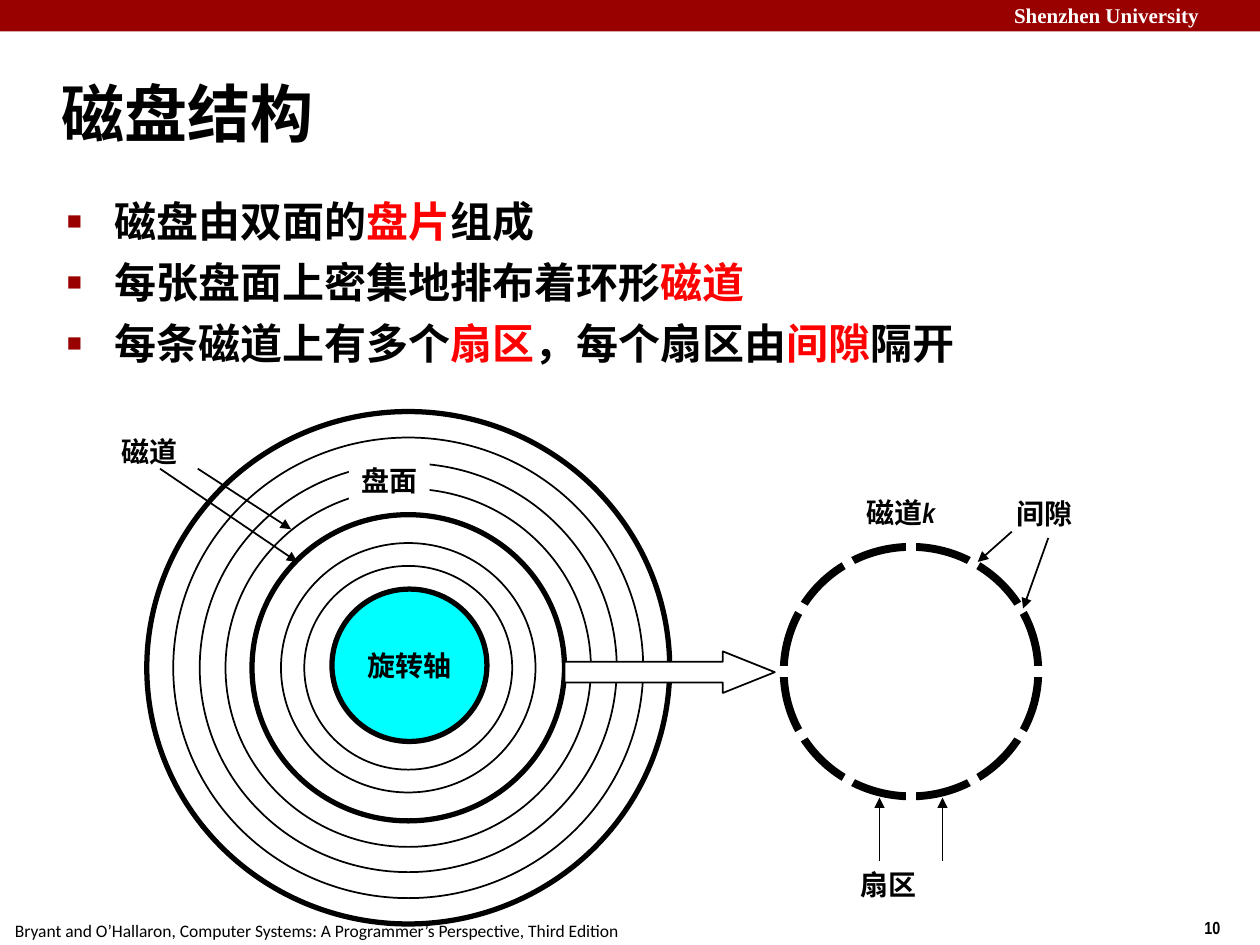
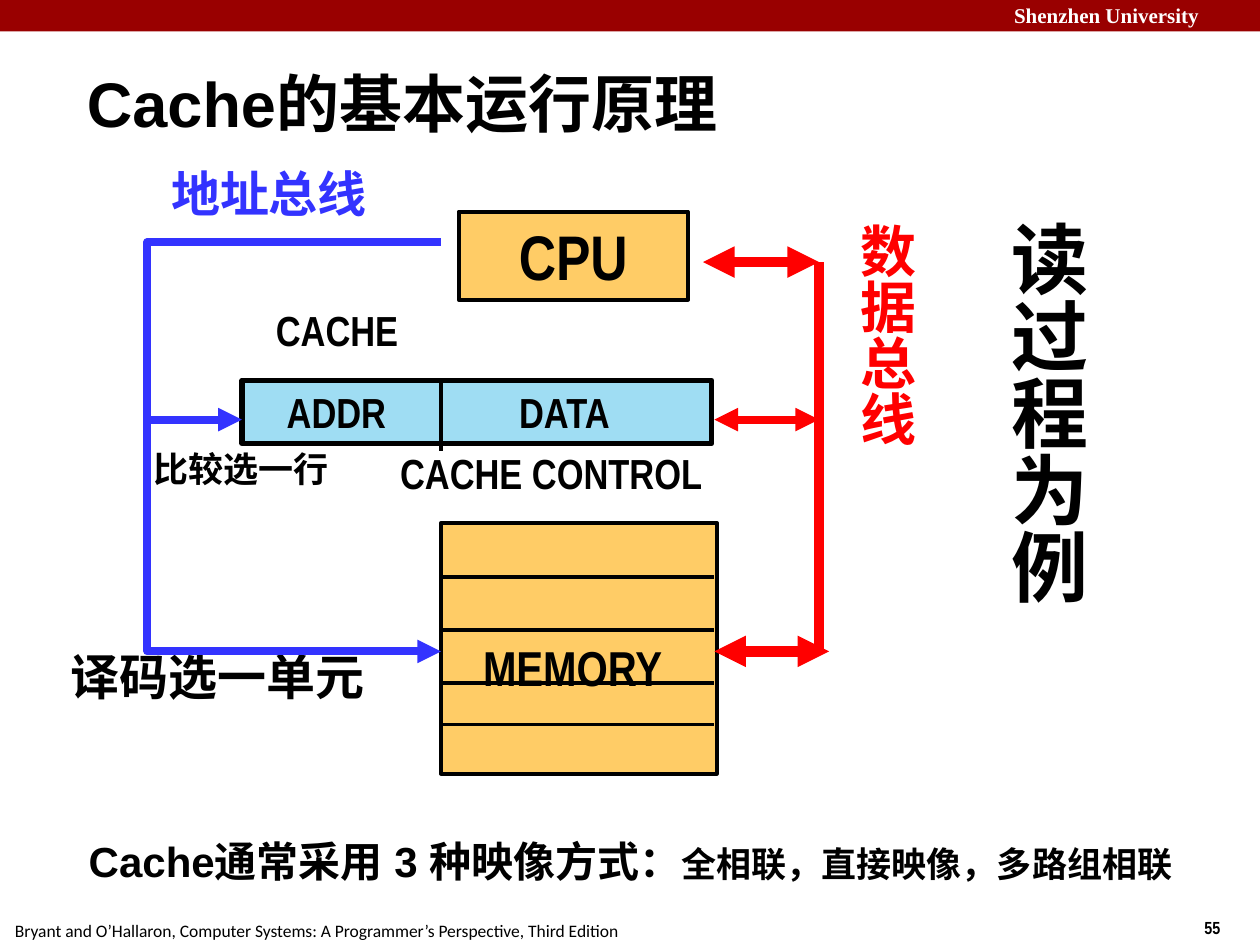
import math

from lxml import etree
from pptx import Presentation
from pptx import util as u
from pptx.dml.color import RGBColor
from pptx.enum import shapes, text
from pptx.oxml.ns import qn

BLACK = RGBColor(0x00, 0x00, 0x00)
WHITE = RGBColor(0xFF, 0xFF, 0xFF)
CRIMSON = RGBColor(0x99, 0x00, 0x00)
RED = RGBColor(0xFF, 0x00, 0x00)
BLUE = RGBColor(0x33, 0x33, 0xFF)
CYAN = RGBColor(0x00, 0xFF, 0xFF)
SKY = RGBColor(0x9F, 0xDD, 0xF3)
AMBER = RGBColor(0xFF, 0xCC, 0x66)

TITLE_AND_BODY, TITLE_ONLY = 1, 5
RECTANGLE = shapes.MSO_SHAPE.RECTANGLE
OVAL = shapes.MSO_SHAPE.OVAL
LEFT = text.PP_ALIGN.LEFT
CENTER = text.PP_ALIGN.CENTER


class Lecture:
    label_font = "Arial Narrow"
    source = "Bryant and O’Hallaron, Computer Systems: A Programmer’s Perspective, Third Edition"

    def __init__(self):
        self.deck = Presentation()
        self.deck.slide_width, self.deck.slide_height = u.Inches(10), u.Inches(7.5)
        self.slide = None

    def page(self, layout, number):
        self.slide = self.deck.slides.add_slide(self.deck.slide_layouts[layout])
        self.shape(RECTANGLE, 0, 0, 10, 0.25, fill=CRIMSON)
        self.label("Shenzhen University", 7.95, -0.03, 2.12, 0.3, size=12,
                   font="Times New Roman", color=WHITE, wrap=True)
        self.label(number, 9.46, 7.23, 0.75, 0.27, size=10)
        self.label(self.source, 0.02, 7.25, 5.01, 0.27, size=10, font="Calibri", bold=False)

    def style(self, span, size, font, color=BLACK, bold=True):
        span.font.size, span.font.name, span.font.bold = u.Pt(size), font, bold
        span.font.color.rgb = color
        east_asian = etree.Element(qn("a:ea"), typeface=font)
        span.font._element.find(qn("a:latin")).addnext(east_asian)

    def place(self, box, left, top, width, height):
        box.left, box.top = u.Inches(left), u.Inches(top)
        box.width, box.height = u.Inches(width), u.Inches(height)

    def title(self, words, left, top, width, height, font):
        box = self.slide.shapes.title
        self.place(box, left, top, width, height)
        box.text_frame.text = words
        box.text_frame.auto_size = text.MSO_AUTO_SIZE.NONE
        box.text_frame.vertical_anchor = text.MSO_ANCHOR.MIDDLE
        para = box.text_frame.paragraphs[0]
        para.alignment = LEFT
        self.style(para.runs[0], 36, font)

    def bullet(self, para):
        properties = para._p.get_or_add_pPr()
        properties.set("marL", str(u.Inches(0.38)))
        properties.set("indent", str(-u.Inches(0.38)))
        color = etree.SubElement(properties, qn("a:buClr"))
        etree.SubElement(color, qn("a:srgbClr"), val=str(CRIMSON))
        etree.SubElement(properties, qn("a:buSzPct"), val="60000")
        etree.SubElement(properties, qn("a:buFont"), typeface="Arial")
        etree.SubElement(properties, qn("a:buChar"), char="■")

    def bullets(self, lines, left, top, width, height):
        box = self.slide.placeholders[1]
        self.place(box, left, top, width, height)
        frame = box.text_frame
        frame.auto_size = text.MSO_AUTO_SIZE.NONE
        for index, line in enumerate(lines):
            para = frame.add_paragraph() if index else frame.paragraphs[0]
            self.bullet(para)
            para.space_before = u.Pt(6 if index else 0)
            for position, words in enumerate(line.split("|")):
                span = para.add_run()
                span.text = words
                self.style(span, 24, "Calibri", RED if position % 2 else BLACK)

    def caption(self, box, words, size, color=BLACK, font=label_font, bold=True,
                align=LEFT, wrap=False):
        frame = box.text_frame
        frame.text = words
        frame.word_wrap = wrap
        frame.vertical_anchor = text.MSO_ANCHOR.MIDDLE
        para = frame.paragraphs[0]
        para.alignment = align
        self.style(para.runs[0], size, font, color, bold)
        return para

    def label(self, words, left, top, width, height, size=16, **look):
        box = self.slide.shapes.add_textbox(*map(u.Inches, (left, top, width, height)))
        para = self.caption(box, words, size, **look)
        box.text_frame.auto_size = text.MSO_AUTO_SIZE.SHAPE_TO_FIT_TEXT
        return para

    def vertical_label(self, words, left, top, width, height, size, color=BLACK):
        box = self.slide.shapes.add_textbox(*map(u.Inches, (left, top, width, height)))
        self.caption(box, words, size, color, align=CENTER)
        frame = box.text_frame
        frame.margin_left = frame.margin_right = u.Inches(0.05)
        frame.margin_top = frame.margin_bottom = u.Inches(0.1)
        frame.auto_size = text.MSO_AUTO_SIZE.SHAPE_TO_FIT_TEXT
        box.element.find(qn("p:txBody")).find(qn("a:bodyPr")).set("vert", "eaVert")

    def outline(self, item, color, width):
        item.line.color.rgb = color
        item.line.width = u.Pt(width)

    def shape(self, kind, left, top, width, height, fill=None, line=0):
        item = self.slide.shapes.add_shape(kind, *map(u.Inches, (left, top, width, height)))
        item.shadow.inherit = False
        if fill is None:
            item.fill.background()
        else:
            item.fill.solid()
            item.fill.fore_color.rgb = fill
        if line:
            self.outline(item, BLACK, line)
        else:
            item.line.fill.background()
        return item

    def ring(self, center, width, height, line, fill=None):
        x, y = center
        return self.shape(OVAL, x - width / 2, y - height / 2, width, height, fill, line)

    def arrowheads(self, item, ends):
        outline = item.element.spPr.find(qn("a:ln"))
        for end in ends:
            etree.SubElement(outline, qn(f"a:{end}End"), type="triangle")

    def line(self, start, end, color=BLACK, width=1, ends=()):
        item = self.slide.shapes.add_connector(
            shapes.MSO_CONNECTOR.STRAIGHT, *map(u.Inches, (*start, *end)))
        self.outline(item, color, width)
        self.arrowheads(item, ends)
        etree.SubElement(item.element.spPr, qn("a:effectLst"))

    def arrow(self, start, end, color=BLACK, width=1):
        self.line(start, end, color, width, ("tail",))

    def double_arrow(self, start, end, color, width):
        self.line(start, end, color, width, ("head", "tail"))

    def elbow_arrow(self, points, color, width):
        first, *rest = [tuple(map(u.Inches, point)) for point in points]
        builder = self.slide.shapes.build_freeform(*first)
        builder.add_line_segments(rest, close=False)
        item = builder.convert_to_shape()
        item.shadow.inherit = False
        item.fill.background()
        self.outline(item, color, width)
        self.arrowheads(item, ("tail",))


def disk_structure(lecture):
    lecture.page(TITLE_AND_BODY, "10")
    lecture.title("磁盘结构", 0.39, 0.48, 8.3, 0.83, "Calibri")
    lecture.bullets(["磁盘由双面的|盘片|组成",
                     "每张盘面上密集地排布着环形|磁道",
                     "每条磁道上有多个|扇区|，每个扇区由|间隙|隔开"],
                    0.43, 1.5, 8.64, 5.44)

    platter = (3.24, 5.3)
    for width, line in ((4.15, 3), (3.73, 1), (3.31, 1), (2.9, 1), (2.48, 3), (2.02, 1), (1.65, 1)):
        lecture.ring(platter, width, width * 0.98, line)
    spindle = lecture.ring((3.25, 5.28), 1.23, 1.21, 3, CYAN)
    lecture.caption(spindle, "旋转轴", 16, align=CENTER)
    surface = lecture.shape(RECTANGLE, 2.77, 3.63, 0.64, 0.37, WHITE)
    lecture.caption(surface, "盘面", 16)
    lecture.label("磁道", 0.87, 3.4, 0.64, 0.37)
    lecture.arrow((1.27, 3.72), (2.36, 4.46))
    lecture.arrow((1.57, 3.72), (2.31, 4.2))

    track = (7.23, 5.33)
    lecture.ring(track, 2.02, 1.98, 4.5)
    sectors, reach = 12, 1.06
    for sector in range(sectors):
        angle = 2 * math.pi * sector / sectors
        gap = (track[0] + reach * math.cos(angle), track[1] + reach * math.sin(angle))
        lecture.line(track, gap, WHITE, 6)

    track_name = lecture.label("磁道", 6.78, 3.88, 0.8, 0.37)
    index = track_name.add_run()
    index.text = "k"
    lecture.style(index, 16, lecture.label_font)
    index.font.italic = True

    lecture.label("扇区", 6.73, 6.83, 0.64, 0.37)
    for x in (6.98, 7.48):
        lecture.arrow((x, 6.83), (x, 6.33))
    zoom = lecture.shape(shapes.MSO_SHAPE.RIGHT_ARROW, 4.48, 5.17, 1.67, 0.33, WHITE, 1)
    zoom.adjustments[0], zoom.adjustments[1] = 0.5, 1.25
    lecture.label("间隙", 7.97, 3.89, 0.64, 0.37)
    lecture.arrow((8.03, 4.22), (7.76, 4.46))
    lecture.arrow((8.32, 4.27), (8.12, 4.83))


def cache_operation(lecture):
    lecture.page(TITLE_ONLY, "55")
    lecture.title("Cache的基本运行原理", 0.59, 0.44, 8.5, 0.75, "Arial")

    memory = lecture.shape(RECTANGLE, 3.5, 4.15, 2.19, 1.99, AMBER, 2.25)
    lecture.caption(memory, "MEMORY", 28, align=CENTER)
    memory.text_frame.margin_top = u.Inches(0.35)
    memory.text_frame.margin_right = u.Inches(0.2)
    for y in (4.58, 5, 5.42, 5.75):
        lecture.line((3.5, y), (5.67, y), width=2.25)

    lecture.label("CACHE CONTROL", 3.04, 3.5, 2.67, 0.5, 24, align=CENTER)
    lecture.label("CACHE", 2.09, 2.37, 1.17, 0.5, 24, align=CENTER)
    lecture.label("地址总线", 1.26, 1.25, 1.75, 0.57, 28, color=BLUE, align=CENTER)
    lecture.label("译码选一单元", 0.46, 5.08, 2.53, 0.57, 28, align=CENTER)
    lecture.label("比较选一行", 0.83, 3.5, 2.17, 0.44, 20, align=CENTER, wrap=True)
    lecture.vertical_label("数据总线", 6.67, 1.67, 0.73, 1.88, 32, RED)
    lecture.vertical_label("读过程为例", 7.85, 1.65, 0.93, 3.16, 44)

    lecture.shape(RECTANGLE, 1.92, 3.02, 3.73, 0.5, SKY, 3)
    for words, left in (("ADDR", 2.17), ("DATA", 3.98)):
        lecture.label(words, left, 3.02, 1, 0.5, 24, align=CENTER, wrap=True)
    lecture.line((3.5, 3), (3.5, 3.58), width=2.25)
    cpu = lecture.shape(RECTANGLE, 3.64, 1.68, 1.82, 0.7, AMBER, 2.25)
    lecture.caption(cpu, "CPU", 36, align=CENTER)

    lecture.line((6.5, 2.08), (6.5, 5.17), RED, 6)
    for left, right, y, width in ((5.58, 6.5, 2.08, 6), (5.67, 6.5, 3.33, 4.5), (5.67, 6.58, 5.17, 6)):
        lecture.double_arrow((left, y), (right, y), RED, width)
    lecture.arrow((1.17, 3.33), (1.92, 3.33), BLUE, 4.5)
    lecture.elbow_arrow([(3.5, 1.92), (1.17, 1.92), (1.17, 5.17), (3.5, 5.17)], BLUE, 4.5)

    mapping = lecture.label("Cache通常采用 3 种映像方式：", 0.45, 6.58, 9.11, 0.5, 24,
                            font="Arial", align=CENTER)
    kinds = mapping.add_run()
    kinds.text = "全相联，直接映像，多路组相联"
    lecture.style(kinds, 20, "Arial")


def main():
    lecture = Lecture()
    disk_structure(lecture)
    cache_operation(lecture)
    lecture.deck.save("out.pptx")


if __name__ == "__main__":
    main()
